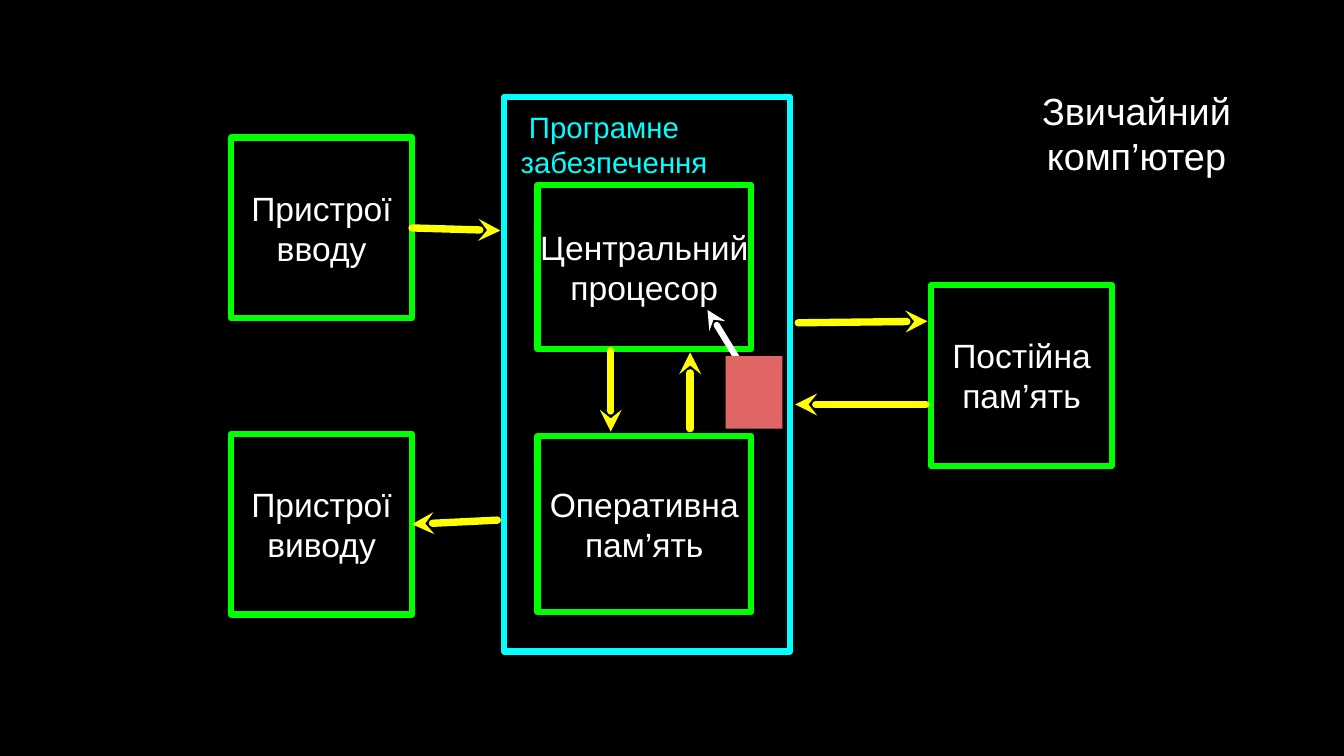
from dataclasses import dataclass

from pptx import Presentation
from pptx.dml.color import RGBColor
from pptx.enum.dml import MSO_LINE_DASH_STYLE as DASH
from pptx.enum.shapes import MSO_CONNECTOR, MSO_SHAPE
from pptx.enum.text import MSO_ANCHOR, MSO_AUTO_SIZE, PP_ALIGN
from pptx.oxml.ns import qn
from pptx.util import Inches, Pt
from lxml.etree import SubElement


@dataclass(frozen=True)
class Theme:
    font: str = "Arial"
    back: str = "000000"
    text: str = "FFFFFF"
    software: str = "00FFFF"
    device: str = "00FF00"
    flow: str = "FFFF00"
    chip: str = "E06666"
    title_size: int = 36
    device_size: int = 32
    label_size: int = 28
    frame_width: int = 6
    flow_width: int = 7


THEME = Theme()
COLS, ROWS = 177.8, 100
CELL = 0.1
SIDE = 23.9
LEFT_COL, CORE_COL, RIGHT_COL = 30.6, 71.1, 123.2
CORE_WIDTH = 28.3
RIGHT, LEFT = 3, 1


def grid(*cells):
    return [Inches(c * CELL) for c in cells]


def color(value):
    return RGBColor.from_string(value)


def write(s, text, size, value, align=PP_ALIGN.CENTER, inset=0):
    tf = s.text_frame
    tf.word_wrap = True
    tf.auto_size = MSO_AUTO_SIZE.NONE
    tf.vertical_anchor = MSO_ANCHOR.MIDDLE
    tf.margin_left = tf.margin_right = tf.margin_top = tf.margin_bottom = Inches(inset)
    tf.text = text
    p = tf.paragraphs[0]
    p.alignment = align
    r = p.runs[0]
    r.font.name, r.font.size = THEME.font, Pt(size)
    r.font.color.rgb = color(value)
    return p


def add_title(slide, text, *cells):
    s = slide.shapes.title
    s.left, s.top, s.width, s.height = grid(*cells)
    write(s, text, THEME.title_size, THEME.text)


def add_frame(slide, value, *cells):
    s = slide.shapes.add_shape(MSO_SHAPE.RECTANGLE, *grid(*cells))
    s.shadow.inherit = False
    s.fill.background()
    s.line.color.rgb = color(value)
    s.line.width = Pt(THEME.frame_width)
    return s


def add_device(slide, text, *cells):
    s = add_frame(slide, THEME.device, *cells)
    write(s, text, THEME.device_size, THEME.text)
    return s


def add_arrow(slide, start, end, value=THEME.flow, width=THEME.flow_width):
    s = slide.shapes.add_connector(MSO_CONNECTOR.STRAIGHT, *grid(*start, *end))
    s.line.color.rgb = color(value)
    s.line.width = Pt(width)
    s.line.dash_style = DASH.SOLID
    ln = s.line._get_or_add_ln()
    ln.set("cap", "rnd")
    SubElement(ln, qn("a:round"))
    SubElement(ln, qn("a:tailEnd"), type="stealth")
    SubElement(s._element.spPr, qn("a:effectLst"))
    return s


def add_label(slide, text, *cells):
    s = slide.shapes.add_textbox(*grid(*cells))
    p = write(s, text, THEME.label_size, THEME.software, PP_ALIGN.LEFT, 0.1)
    p._p.get_or_add_pPr().set("indent", str(Inches(0.11)))
    s.text_frame.vertical_anchor = MSO_ANCHOR.TOP


def add_chip(slide, *cells):
    s = slide.shapes.add_shape(MSO_SHAPE.RECTANGLE, *grid(*cells))
    s.shadow.inherit = False
    s.fill.solid()
    s.fill.fore_color.rgb = color(THEME.chip)
    s.line.fill.background()


def main():
    prs = Presentation()
    prs.slide_width, prs.slide_height = grid(COLS, ROWS)
    slide = prs.slides.add_slide(prs.slide_layouts[5])
    slide.background.fill.solid()
    slide.background.fill.fore_color.rgb = color(THEME.back)

    add_title(slide, "Звичайний комп’ютер", 136, 11.3, 28.7, 12.5)
    add_frame(slide, THEME.software, 66.7, 12.8, 37.8, 73.4)
    source = add_device(slide, "Пристрої вводу", LEFT_COL, 18.2, SIDE, SIDE)
    add_device(slide, "Центральний процесор", CORE_COL, 24.5, CORE_WIDTH, 21.7)
    add_device(slide, "Оперативна пам’ять", CORE_COL, 57.7, CORE_WIDTH, 23.3)
    sink = add_device(slide, "Пристрої виводу", LEFT_COL, 57.4, SIDE, SIDE)
    add_device(slide, "Постійна пам’ять", RIGHT_COL, 37.7, SIDE, SIDE)

    add_arrow(slide, (54.6, 30.7), (66.2, 30.5)).begin_connect(source, RIGHT)
    add_arrow(slide, (65.8, 68.8), (54.9, 69)).end_connect(sink, RIGHT)
    for start, end in (
        ((80.8, 46.4), (80.8, 57.1)),
        ((91.3, 56.7), (91.3, 46.6)),
        ((105.6, 42.7), (122.7, 42.5)),
        ((122.5, 53.5), (105.2, 53.5)),
    ):
        add_arrow(slide, start, end)

    add_arrow(slide, (98.3, 48.7), (93.6, 41), THEME.text, THEME.frame_width)
    add_label(slide, "Програмне забезпечення", 67.9, 13.4, 29.6, 10.4)
    add_chip(slide, 96, 47.1, 7.5, 9.6)
    prs.save("out.pptx")


if __name__ == "__main__":
    main()
